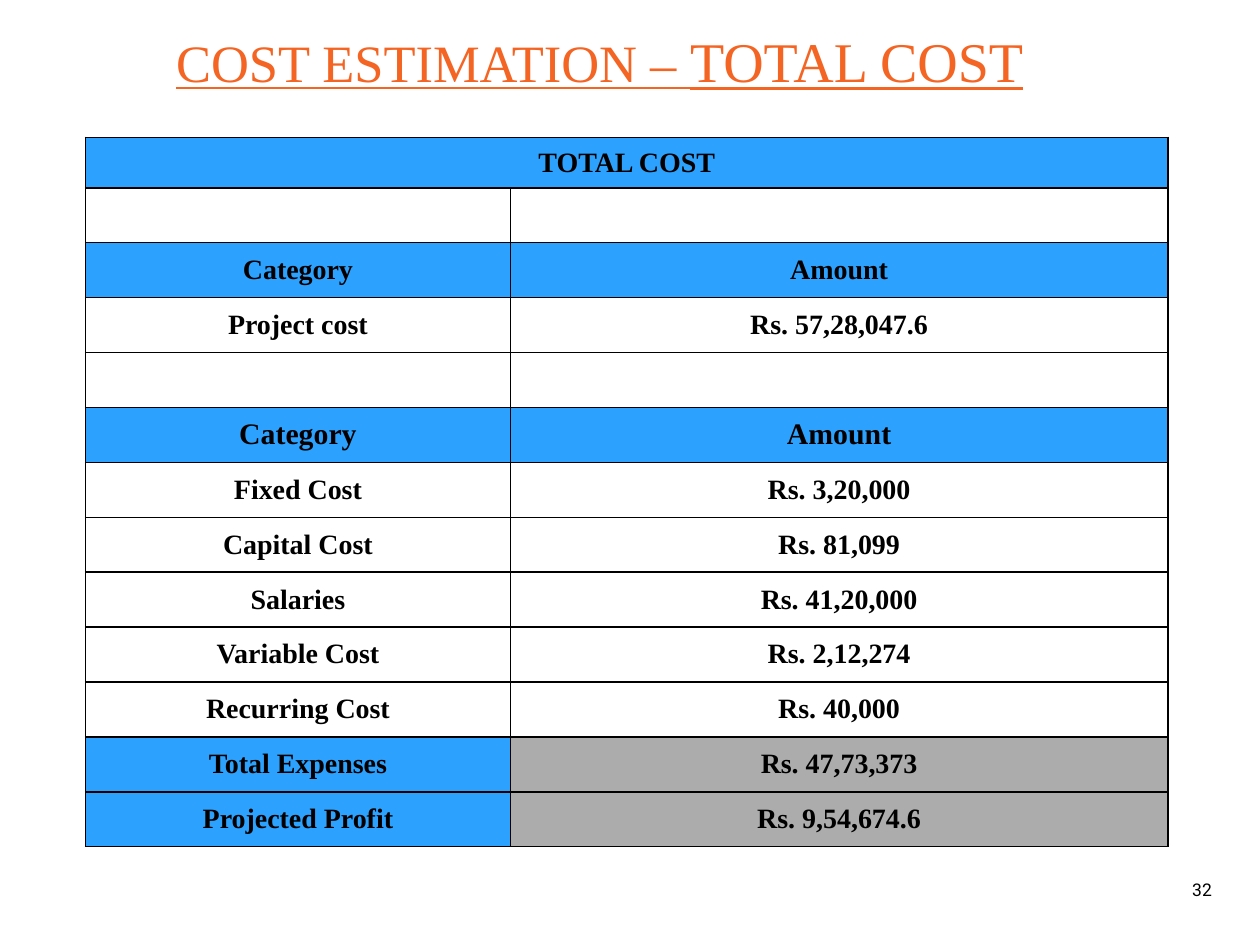
from dataclasses import dataclass
from typing import Optional

from lxml.etree import SubElement
from pptx import Presentation
from pptx.dml.color import RGBColor
from pptx.enum.text import MSO_ANCHOR, PP_ALIGN
from pptx.oxml.ns import qn
from pptx.util import Inches, Pt


@dataclass(frozen=True)
class Theme:
    serif: str = "Times New Roman"
    sans: str = "Roboto"
    orange: str = "F46524"
    black: str = "000000"
    white: str = "FFFFFF"
    blue: str = "2CA1FE"
    gray: str = "ACACAC"
    title: int = 30
    accent: int = 32
    head: int = 17
    body: int = 16
    page: int = 10
    line: int = 1


T = Theme()


@dataclass(frozen=True)
class Row:
    label: str = ""
    amount: str = ""
    left: str = T.white
    right: str = T.white
    size: int = T.body


@dataclass(frozen=True)
class Box:
    left: float
    top: float
    width: float
    height: float

    def emu(self) -> tuple:
        return tuple(Inches(n) for n in (self.left, self.top, self.width, self.height))


ROWS = [
    Row("TOTAL COST", left=T.blue, right=T.blue),
    Row(),
    Row("Category", "Amount", T.blue, T.blue),
    Row("Project cost", "Rs. 57,28,047.6"),
    Row(),
    Row("Category", "Amount", T.blue, T.blue, T.head),
    Row("Fixed Cost", "Rs. 3,20,000"),
    Row("Capital Cost", "Rs. 81,099"),
    Row("Salaries", "Rs. 41,20,000"),
    Row("Variable Cost", "Rs. 2,12,274"),
    Row("Recurring Cost", "Rs. 40,000"),
    Row("Total Expenses", "Rs. 47,73,373", T.blue, T.gray),
    Row("Projected Profit", "Rs. 9,54,674.6", T.blue, T.gray),
]
GRID = Box(0.68, 1.09, 8.59, 5.63)
LABEL_W = 3.37
BANNER_H = 0.4


def add_run(para, text: str, size: int, font: str = T.serif, color: str = T.black,
            bold: bool = False, under: Optional[bool] = None) -> None:
    run = para.add_run()
    run.text = text
    run.font.size = Pt(size)
    run.font.name = font
    run.font.color.rgb = RGBColor.from_string(color)
    run.font.bold = bold
    run.font.underline = under


def add_box(slide, box: Box, align: PP_ALIGN):
    """Add a wrapped, middle-anchored text box and return its paragraph."""
    frame = slide.shapes.add_textbox(*box.emu()).text_frame
    frame.word_wrap = True
    frame.vertical_anchor = MSO_ANCHOR.MIDDLE
    para = frame.paragraphs[0]
    para.alignment = align
    return para


def add_edges(cell) -> None:
    """Draw the four borders; they must precede the fill in the cell XML."""
    props = cell._tc.get_or_add_tcPr()
    for side in ("lnL", "lnR", "lnT", "lnB"):
        line = SubElement(props, qn(f"a:{side}"), w=str(Pt(T.line)))
        fill = SubElement(line, qn("a:solidFill"))
        SubElement(fill, qn("a:srgbClr"), val=T.black)


def fill_cell(cell, text: str, color: str, size: int) -> None:
    add_edges(cell)
    cell.fill.solid()
    cell.fill.fore_color.rgb = RGBColor.from_string(color)
    cell.vertical_anchor = MSO_ANCHOR.MIDDLE
    cell.margin_left = cell.margin_right = Inches(0.03)
    cell.margin_top = cell.margin_bottom = Inches(0.02)
    para = cell.text_frame.paragraphs[0]
    para.alignment = PP_ALIGN.CENTER
    if text:
        add_run(para, text, size, bold=True)


def add_costs(slide) -> None:
    table = slide.shapes.add_table(len(ROWS), 2, *GRID.emu()).table
    table.first_row = table.horz_banding = False
    table.columns[0].width = Inches(LABEL_W)
    table.columns[1].width = Inches(GRID.width - LABEL_W)
    step = (GRID.height - BANNER_H) / (len(ROWS) - 1)
    for i, row in enumerate(ROWS):
        table.rows[i].height = Inches(step if i else BANNER_H)
        fill_cell(table.cell(i, 0), row.label, row.left, row.size)
        fill_cell(table.cell(i, 1), row.amount, row.right, row.size)
    table.cell(0, 0).merge(table.cell(0, 1))


def main() -> None:
    deck = Presentation()
    deck.slide_width, deck.slide_height = Inches(10), Inches(7.5)
    slide = deck.slides.add_slide(deck.slide_layouts[6])

    title = add_box(slide, Box(1.3, -0.37, 8.5, 1.76), PP_ALIGN.LEFT)
    title.line_spacing = 0.9
    add_run(title, "COST ESTIMATION – ", T.title, color=T.orange, under=True)
    add_run(title, "TOTAL COST", T.accent, color=T.orange, under=True)

    page = add_box(slide, Box(9.28, 6.86, 0.52, 0.4), PP_ALIGN.CENTER)
    add_run(page, "32", T.page, T.sans)

    add_costs(slide)
    deck.save("out.pptx")


if __name__ == "__main__":
    main()
